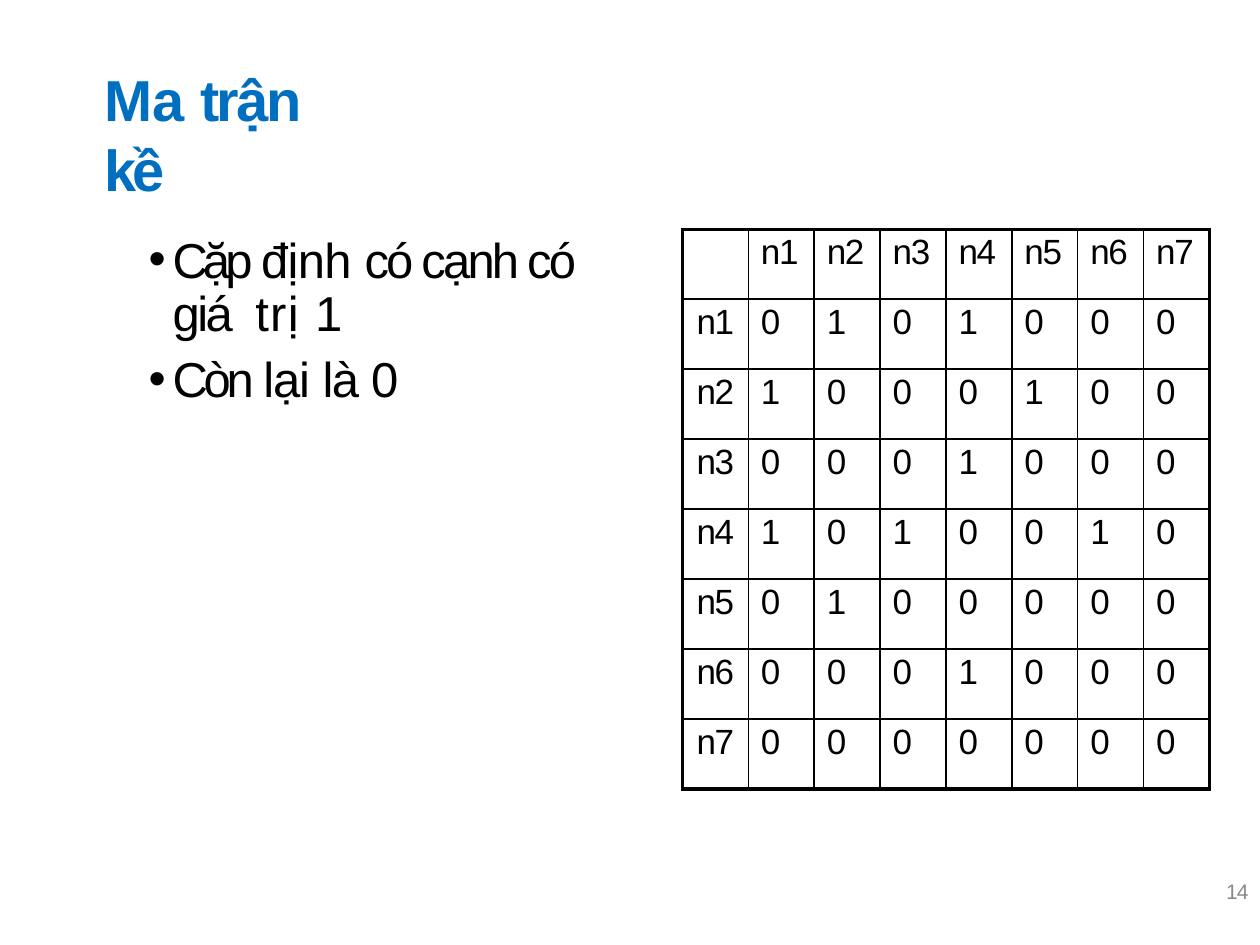
from lxml.etree import SubElement
from pptx import Presentation
from pptx.dml.color import RGBColor
from pptx.enum.text import MSO_AUTO_SIZE as AutoSize, PP_ALIGN as Align
from pptx.oxml import parse_xml
from pptx.oxml.ns import nsdecls, qn
from pptx.util import Pt

BLACK = RGBColor(0x00, 0x00, 0x00)
BLUE = RGBColor(0x00, 0x6F, 0xC0)
GRAY = RGBColor(0x88, 0x88, 0x88)
WHITE = RGBColor(0xFF, 0xFF, 0xFF)
FONT = "Arial"
THIN, THICK = 1, 2.25

# Each span is its text and its letter spacing in points
TITLE = [("Ma ", -0.3), ("trận ", -1.4), ("kề", -2.6)]
BULLETS = [
    [("Cặp ", -2.8), ("định ", -0.4), ("có cạnh có ", -1.6),
     ("giá  ", -1.4), ("trị ", 0.8), ("1", -1.4)],
    [("Còn ", -2.4), ("lại ", -0.6), ("là ", -0.9), ("0", -1.4)],
]
NODES = ["n1", "n2", "n3", "n4", "n5", "n6", "n7"]
ADJACENCY = ["0101000", "1000100", "0001000", "1010010",
             "0100000", "0001000", "0000000"]


def add_spans(para, spans, size, color, bold=False):
    for text, spacing in spans:
        span = para.add_run()
        span.text = text
        span.font.name = FONT
        span.font.size = Pt(size)
        span.font.bold = bold
        span.font.color.rgb = color
        span._r.get_or_add_rPr().set("spc", str(round(spacing * 100)))


def set_indent(para, left, first=0):
    props = para._p.get_or_add_pPr()
    props.set("marL", str(Pt(left)))
    props.set("indent", str(Pt(first)))
    return props


def add_text_frame(page, box, top_inset=0):
    frame = page.shapes.add_textbox(*map(Pt, box)).text_frame
    frame.word_wrap = True
    frame.auto_size = AutoSize.SHAPE_TO_FIT_TEXT
    frame.margin_left = frame.margin_right = frame.margin_bottom = 0
    frame.margin_top = Pt(top_inset)
    return frame


def add_page_number(page, box):
    para = add_text_frame(page, box).paragraphs[0]
    set_indent(para, 3)
    para.line_spacing = Pt(12.4)
    add_spans(para, [("14", -0.6)], 12, GRAY)


def add_title(page, box):
    para = add_text_frame(page, box, 1.3).paragraphs[0]
    set_indent(para, 1)
    para.space_before = Pt(1.1)
    add_spans(para, TITLE, 33, BLUE, bold=True)


def add_bullets(page, box):
    frame = add_text_frame(page, box, 4.8)
    for index, spans in enumerate(BULLETS):
        para = frame.add_paragraph() if index else frame.paragraphs[0]
        props = set_indent(para, 14.4, -13.7)
        if index == 0:
            para.line_spacing = Pt(30.3)
        para.space_before = Pt(4.3 if index else 4.8)
        SubElement(props, qn("a:buFont"), typeface=FONT)
        SubElement(props, qn("a:buChar"), char="•")
        tabs = SubElement(props, qn("a:tabLst"))
        SubElement(tabs, qn("a:tab"), pos=str(Pt(14.4)), algn="l")
        add_spans(para, spans, 28, BLACK)


def set_borders(cell, widths):
    # Border lines come before the fill in the cell properties
    props = cell._tc.get_or_add_tcPr()
    for index, (side, width) in enumerate(widths.items()):
        props.insert(index, parse_xml(
            f'<a:ln{side} {nsdecls("a")} w="{Pt(width)}"><a:solidFill>'
            f'<a:srgbClr val="{BLACK}"/></a:solidFill></a:ln{side}>'))


def add_matrix(page, box):
    rows = [[""] + NODES]
    rows += [[node, *values] for node, values in zip(NODES, ADJACENCY)]
    count = len(rows)
    last = count - 1
    table = page.shapes.add_table(count, count, *map(Pt, box)).table
    table.first_row = table.horz_banding = False
    for column in table.columns:
        column.width = Pt(box[2] / count)
    for row in table.rows:
        row.height = Pt(box[3] / count)

    for r, values in enumerate(rows):
        for c, text in enumerate(values):
            cell = table.cell(r, c)
            cell.margin_left = cell.margin_right = cell.margin_bottom = 0
            cell.margin_top = Pt(2)
            cell.fill.background()
            set_borders(cell, {
                "L": THICK if c == 0 else THIN,
                "R": THICK if c == last else THIN,
                "T": THICK if r == 0 else THIN,
                "B": THICK if r == last else THIN,
            })
            if not text:
                continue
            para = cell.text_frame.paragraphs[0]
            para.space_before = Pt(2.4)
            if c == 0:
                para.alignment = Align.CENTER
            else:
                set_indent(para, 7.2)
            add_spans(para, [(text, -0.8 if text in NODES else 0)], 20, BLACK)


def main():
    deck = Presentation()
    deck.slide_width, deck.slide_height = Pt(720), Pt(540)
    page = deck.slides.add_slide(deck.slide_layouts[6])
    page.background.fill.solid()
    page.background.fill.fore_color.rgb = WHITE
    add_page_number(page, (697.7, 504, 18, 13.7))
    add_title(page, (59, 35.3, 149.8, 41.8))
    add_bullets(page, (84.2, 129.6, 282.2, 104.4))
    add_matrix(page, (390, 131, 301.2, 320))
    deck.save("out.pptx")


if __name__ == "__main__":
    main()
